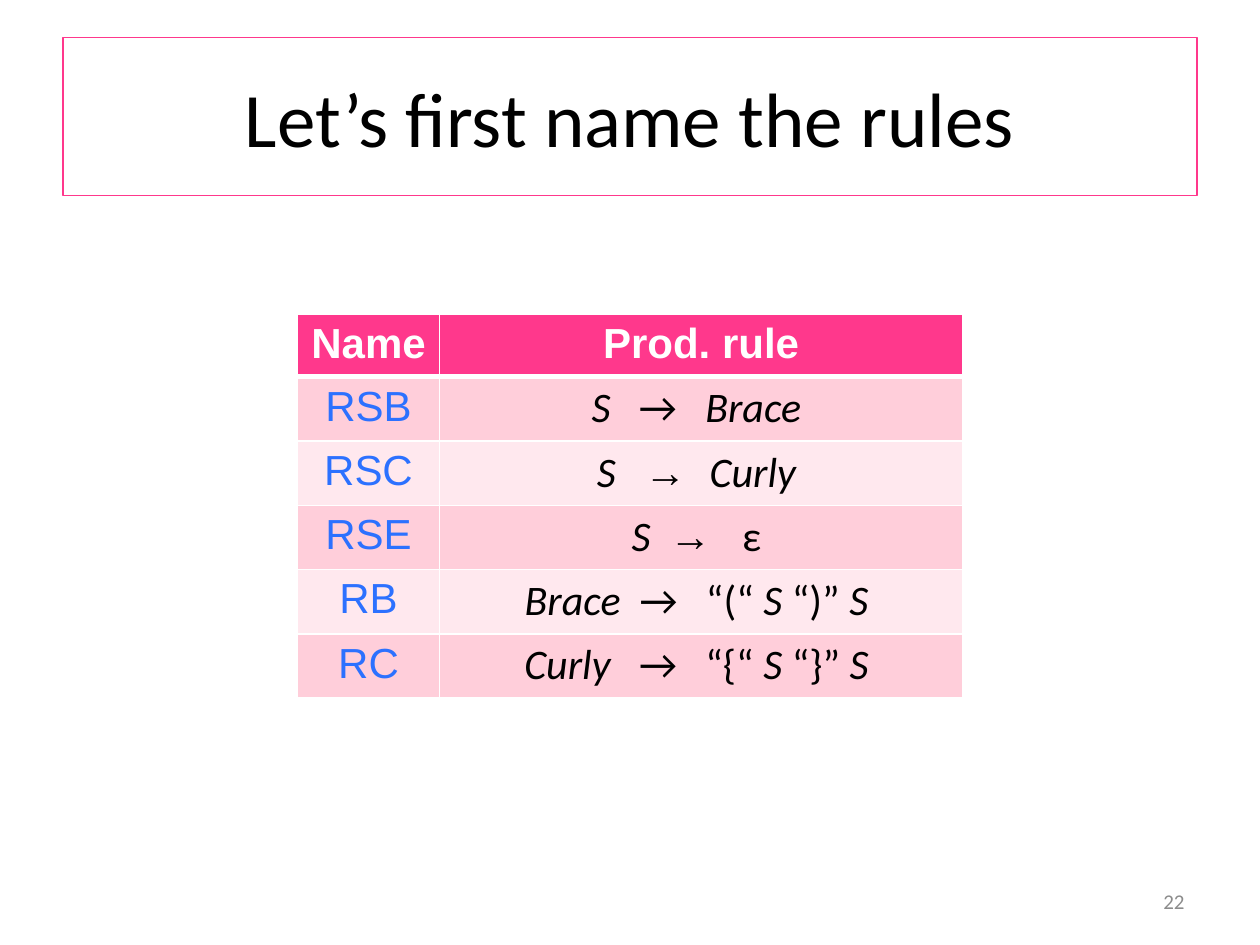
from lxml import etree
from pptx import Presentation
from pptx.dml.color import RGBColor
from pptx.enum.text import MSO_ANCHOR, PP_ALIGN
from pptx.oxml.ns import qn
from pptx.util import Inches, Pt

CENTER, RIGHT, MIDDLE = PP_ALIGN.CENTER, PP_ALIGN.RIGHT, MSO_ANCHOR.MIDDLE
PINK, BLUE, WHITE, BLACK, GREY = "FF388C", "2C71FF", "FFFFFF", "000000", "8C8C8C"
BANDS = ["FFCEDA", "FFE8EE"]

TITLE = "Let’s first name the rules"
PAGE_NUMBER = "22"
HEADINGS = ["Name", "Prod. rule"]
NARROW, MEDIUM, WIDE, WIDEST = 5.4, 7.9, 10.8, 12.1
RULES = [
    ("RSB", "S", WIDE, "Calibri", WIDE, [("Brace ", True)]),
    ("RSC", "S", WIDE, "Arial", MEDIUM, [("Curly ", True)]),
    ("RSE", "S", NARROW, "Arial", WIDEST, [("ε ", False)]),
    ("RB", "Brace", NARROW, "Calibri", WIDE,
     [("“(“ ", False), ("S ", True), ("“)” ", False), ("S ", True)]),
    ("RC", "Curly", WIDE, "Calibri", WIDE,
     [("“{“", False), (" S ", True), ("“}” ", False), ("S ", True)]),
]
COLUMN_WIDTHS = [1.13, 4.15]
HEADER_HEIGHT, RULE_HEIGHT = 0.46, 0.51


def color(value):
    """Turn a hex string into a colour."""
    return RGBColor.from_string(value)


def add_span(para, text, shade, spacing=0, **formats):
    """Add formatted text, with optional letter spacing in points."""
    span = para.add_run()
    span.text = text
    for name, value in formats.items():
        setattr(span.font, name, value)
    span.font.color.rgb = color(shade)
    if spacing:
        span.font._element.set("spc", str(round(spacing * 100)))


def format_cell(cell, fill, top=1, bottom=1):
    """Give a cell white borders and a fill."""
    properties = cell._tc.get_or_add_tcPr()
    for side, width in {"L": 1, "R": 1, "T": top, "B": bottom}.items():
        line = etree.SubElement(properties, qn(f"a:ln{side}"), w=str(Pt(width)))
        solid = etree.SubElement(line, qn("a:solidFill"))
        etree.SubElement(solid, qn("a:srgbClr"), val=WHITE)
    cell.fill.solid()
    cell.fill.fore_color.rgb = color(fill)
    para = cell.text_frame.paragraphs[0]
    para.alignment = CENTER
    return para


def add_title(page):
    """Fill and outline the title placeholder."""
    title = page.shapes.title
    title.left, title.top, title.width, title.height = map(Inches, (0.5, 0.3, 9, 1.25))
    title.line.color.rgb = color(PINK)
    title.line.width = Pt(0.75)
    title.text_frame.vertical_anchor = MIDDLE
    para = title.text_frame.paragraphs[0]
    para.alignment = CENTER
    add_span(para, TITLE, BLACK, size=Pt(44), name="Calibri")


def add_page_number(page):
    """Add the number at the bottom right."""
    box = page.shapes.add_textbox(*map(Inches, (7.17, 6.95, 2.33, 0.4)))
    box.text_frame.word_wrap = True
    box.text_frame.vertical_anchor = MIDDLE
    para = box.text_frame.paragraphs[0]
    para.alignment = RIGHT
    add_span(para, PAGE_NUMBER, GREY, size=Pt(12), name="Calibri")


def add_rule_table(page):
    """Add the table of named production rules."""
    heights = [HEADER_HEIGHT] + [RULE_HEIGHT] * len(RULES)
    size = sum(COLUMN_WIDTHS), sum(heights)
    table = page.shapes.add_table(len(heights), len(COLUMN_WIDTHS),
                                  *map(Inches, (2.36, 2.49, *size))).table
    for column, width in zip(table.columns, COLUMN_WIDTHS):
        column.width = Inches(width)
    for row, height in zip(table.rows, heights):
        row.height = Inches(height)
    for index, heading in enumerate(HEADINGS):
        para = format_cell(table.cell(0, index), PINK, bottom=3)
        add_span(para, heading, WHITE, size=Pt(24), name="Arial", bold=True)
    for index, (name, left, before, arrow_font, after, right) in enumerate(RULES):
        top = 3 if index == 0 else 1
        name_para, rule_para = (
            format_cell(table.cell(index + 1, column), BANDS[index % 2], top)
            for column in range(2))
        add_span(name_para, name, BLUE, size=Pt(24), name="Arial")
        spans = [(left, True, "Calibri", 0), (" ", True, "Calibri", before),
                 ("→", False, arrow_font, 0), (" ", False, "Calibri", after)]
        spans += [(text, italic, "Calibri", 0) for text, italic in right]
        for text, italic, font, spacing in spans:
            add_span(rule_para, text, BLACK, spacing,
                     size=Pt(24), name=font, italic=italic)


def main():
    """Build and save the deck."""
    deck = Presentation()
    deck.slide_width, deck.slide_height = Inches(10), Inches(7.5)
    page = deck.slides.add_slide(deck.slide_layouts[5])
    add_title(page)
    add_page_number(page)
    add_rule_table(page)
    deck.save("out.pptx")


if __name__ == "__main__":
    main()
